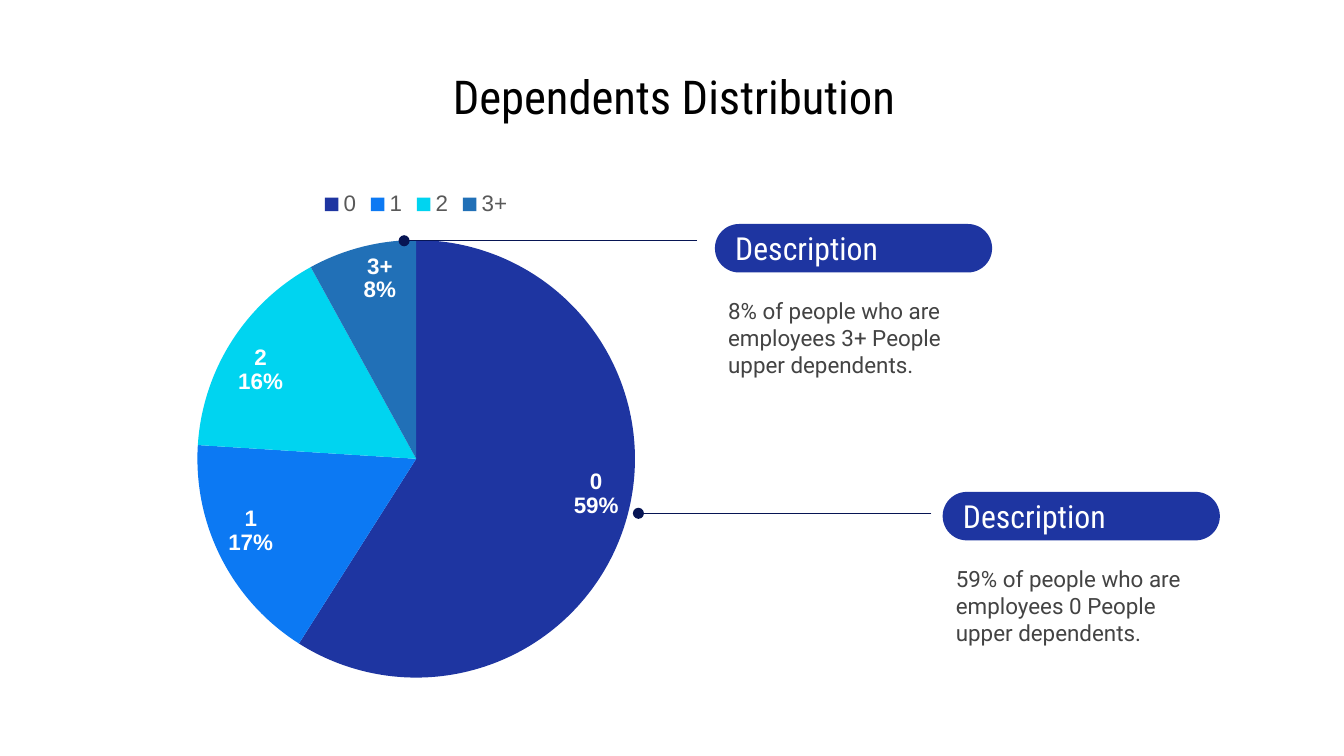
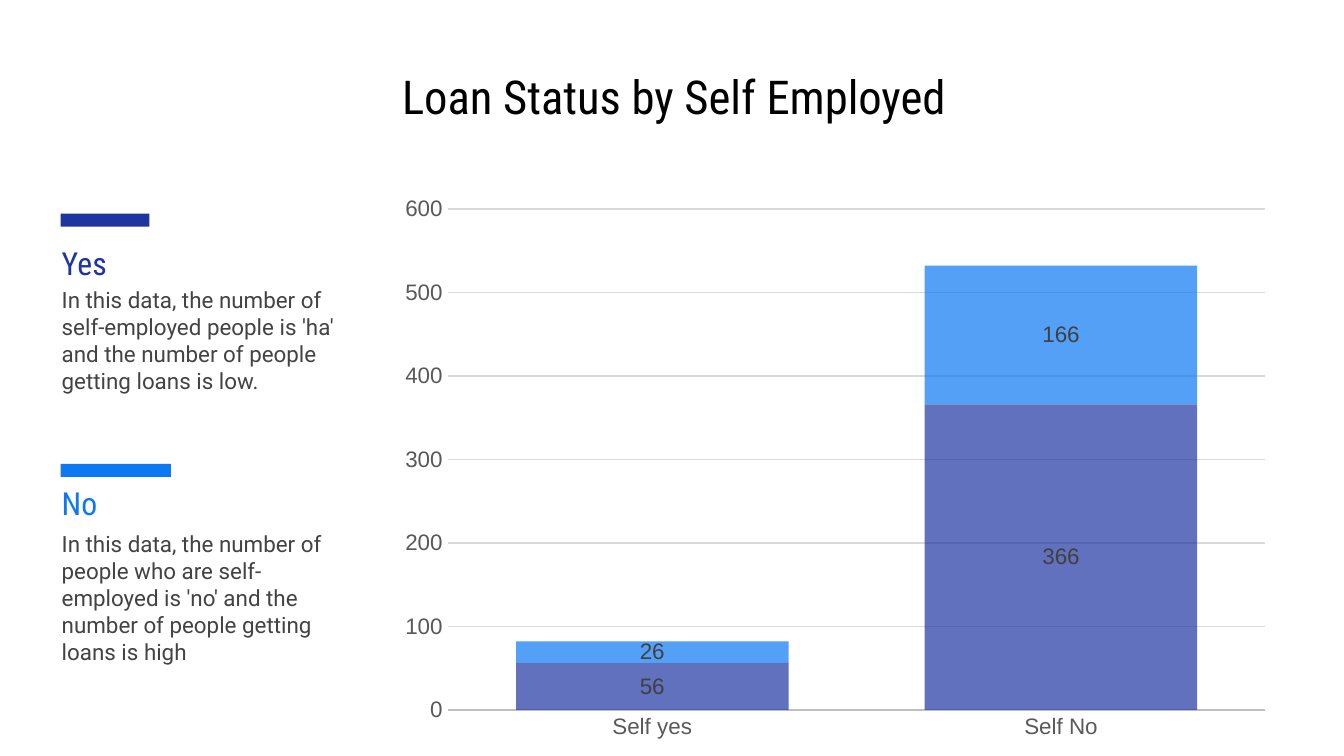
from lxml import etree
from pptx import Presentation
from pptx.chart.data import CategoryChartData
from pptx.dml.color import RGBColor
from pptx.enum.chart import XL_CHART_TYPE, XL_LABEL_POSITION, XL_LEGEND_POSITION, XL_TICK_MARK
from pptx.enum.shapes import MSO_CONNECTOR, MSO_SHAPE
from pptx.enum.text import MSO_ANCHOR, MSO_AUTO_SIZE, PP_ALIGN
from pptx.oxml.ns import qn
from pptx.util import Pt

PIE, STACK = XL_CHART_TYPE.PIE, XL_CHART_TYPE.COLUMN_STACKED
INSIDE, MIDDLE = XL_LABEL_POSITION.INSIDE_END, XL_LABEL_POSITION.CENTER
TOP, NO_TICK = XL_LEGEND_POSITION.TOP, XL_TICK_MARK.NONE
LINE, RECT, ROUND = MSO_CONNECTOR.STRAIGHT, MSO_SHAPE.RECTANGLE, MSO_SHAPE.ROUNDED_RECTANGLE
LEFT, CENTER = PP_ALIGN.LEFT, PP_ALIGN.CENTER

NAVY, BLUE, CYAN, STEEL = "1E35A1", "0C79F3", "00D4F0", "2170B7"
INK, GREY, AXIS = "071554", "434343", "595959"
HEAD, BODY, PLAIN = "Roboto Condensed", "Roboto", "Arial"
INSET = 7.2
hue = RGBColor.from_string


def style(font, size, face, color):
    font.size, font.name = Pt(size), face
    font.color.rgb = hue(color)


def write(shape, text, size, face, color, align=LEFT, top=INSET):
    """Put one styled, vertically centred paragraph into a shape."""
    frame = shape.text_frame
    frame.word_wrap = True
    frame.auto_size = MSO_AUTO_SIZE.NONE
    frame.vertical_anchor = MSO_ANCHOR.MIDDLE
    frame.margin_left = frame.margin_right = frame.margin_bottom = Pt(INSET)
    frame.margin_top = Pt(top)
    para = frame.paragraphs[0]
    para.alignment = align
    run = para.add_run()
    run.text = text
    style(run.font, size, face, color)


prs = Presentation()
prs.slide_width, prs.slide_height = Pt(720), Pt(405)

# Slides and titles
slides = []
for name in ("Dependents Distribution", "Loan Status by Self Employed"):
    slide = prs.slides.add_slide(prs.slide_layouts[5])
    title = slide.shapes.title
    title.left, title.top, title.width, title.height = Pt(38), Pt(32.5), Pt(646), Pt(38)
    write(title, name, 25, HEAD, "000000", CENTER)
    slides.append(slide)
first, second = slides

# Slide 1: pie
data = CategoryChartData()
data.categories = ["0", "1", "2", "3+"]
data.add_series("Series 1", (59, 17, 16, 8))
chart = first.shapes.add_chart(PIE, Pt(16), Pt(95), Pt(414), Pt(278), data).chart
style(chart.font, 10, PLAIN, "000000")
chart.has_title = False
chart.has_legend = True
chart.legend.position = TOP
chart.legend.include_in_layout = False
style(chart.legend.font, 12, PLAIN, AXIS)
plot = chart.plots[0]
plot.vary_by_categories = True
for i, color in enumerate((NAVY, BLUE, CYAN, STEEL)):
    fill = plot.series[0].points[i].format.fill
    fill.solid()
    fill.fore_color.rgb = hue(color)
labels = plot.series[0].data_labels
labels.show_value = False
labels.show_category_name = labels.show_percentage = True
labels.position = INSIDE
style(labels.font, 12, PLAIN, "FFFFFF")
labels.font.bold = True
gap = etree.Element(qn("c:separator"))
gap.text = "\n"
plot.series[0]._element.find(".//" + qn("c:showBubbleSize")).addnext(gap)

# Slide 1: callouts (pill corner, line end, text)
calls = [
    (505, 263.5, 499, 275, "59% of people who are employees 0 People upper dependents."),
    (383, 120, 373.5, 129, "8% of people who are employees 3+ People upper dependents."),
]
for x, y, end, level, text in calls:
    note = first.shapes.add_textbox(Pt(x), Pt(y + 28), Pt(148.5), Pt(66))
    write(note, text, 12, BODY, GREY)
    pill = first.shapes.add_shape(ROUND, Pt(x), Pt(y), Pt(148.5), Pt(26))
    pill.adjustments[0] = 0.5
    pill.shadow.inherit = False
    pill.fill.solid()
    pill.fill.fore_color.rgb = hue(NAVY)
    pill.line.fill.background()
    write(pill, "Description", 17, HEAD, "FFFFFF")
    lead = first.shapes.add_connector(LINE, Pt(end), Pt(level), Pt(end - 157), Pt(level))
    lead.line.width = Pt(0.75)
    lead.line.color.rgb = hue(INK)
    etree.SubElement(lead.line._get_or_add_ln(), qn("a:tailEnd"), type="oval")
    etree.SubElement(lead._element.spPr, qn("a:effectLst"))

# Slide 2: side notes (bar top and width, head top, text top, height and inset)
sides = [
    ("Yes", NAVY, 114.5, 47.5, 130.5, 117.5, 115, 21.5,
     "In this data, the number of self-employed people is 'ha' "
     "and the number of people getting loans is low."),
    ("No", BLUE, 248.5, 59, 259, 277, 86.5, INSET,
     "In this data, the number of people who are self-employed is 'no' "
     "and the number of people getting loans is high"),
]
for name, color, y, wide, head, low, tall, top, text in sides:
    bar = second.shapes.add_shape(RECT, Pt(32.5), Pt(y), Pt(wide), Pt(7))
    bar.shadow.inherit = False
    bar.fill.solid()
    bar.fill.fore_color.rgb = hue(color)
    bar.line.fill.background()
    label = second.shapes.add_textbox(Pt(26), Pt(head), Pt(171.5), Pt(21))
    write(label, name, 17, HEAD, color)
    note = second.shapes.add_textbox(Pt(26), Pt(low), Pt(171.5), Pt(tall))
    write(note, text, 12, BODY, GREY, top=top)

# Slide 2: stacked columns
data = CategoryChartData()
data.categories = ["Self yes", "Self No"]
data.add_series("Series 1", (56, 366))
data.add_series("Series 2", (26, 166))
chart = second.shapes.add_chart(STACK, Pt(207.5), Pt(99.5), Pt(480), Pt(302.5), data).chart
style(chart.font, 10, PLAIN, "000000")
chart.has_title = chart.has_legend = False
plot = chart.plots[0]
plot.vary_by_categories = False
plot.gap_width, plot.overlap = 50, 100
for series, color in zip(plot.series, (NAVY, BLUE)):
    fill = series.format.fill
    fill.solid()
    fill.fore_color.rgb = hue(color)
    tint = series._element.find(".//" + qn("a:srgbClr"))
    etree.SubElement(tint, qn("a:alpha"), val="70000")
    labels = series.data_labels
    labels.show_value = True
    labels.position = MIDDLE
    style(labels.font, 12, PLAIN, "404040")
cats, vals = chart.category_axis, chart.value_axis
for axis in (cats, vals):
    axis.major_tick_mark = axis.minor_tick_mark = NO_TICK
    style(axis.tick_labels.font, 12, PLAIN, AXIS)
vals.minimum_scale, vals.maximum_scale, vals.major_unit = 0, 600, 100
vals.format.line.fill.background()
vals.has_major_gridlines = True
for line, color in ((cats.format.line, "BFBFBF"), (vals.major_gridlines.format.line, "D9D9D9")):
    line.width = Pt(0.75)
    line.color.rgb = hue(color)

prs.save("out.pptx")
